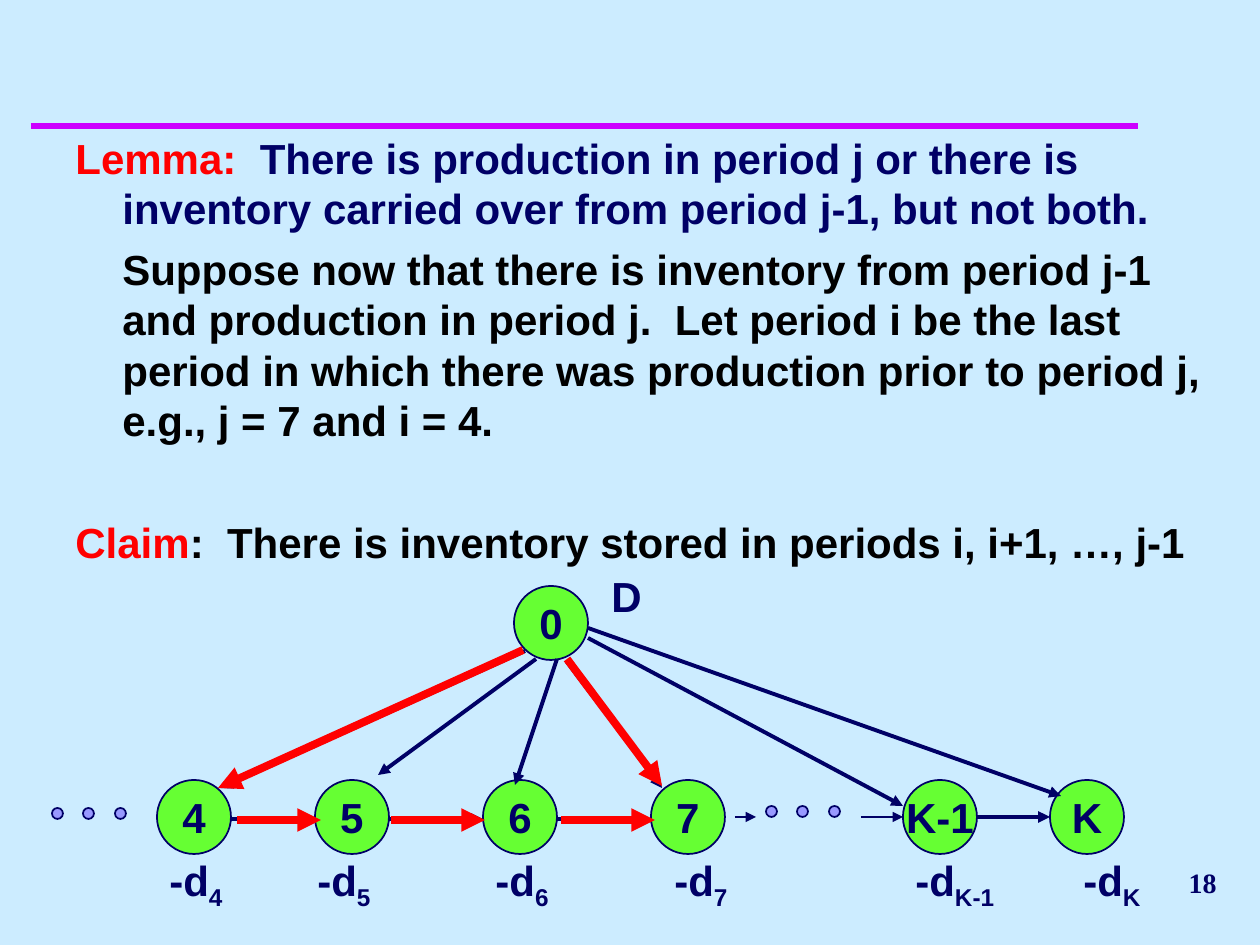
from pptx import Presentation
from pptx.dml.color import RGBColor
from pptx.enum.shapes import MSO_CONNECTOR, MSO_SHAPE
from pptx.enum.text import MSO_ANCHOR, PP_ALIGN
from pptx.oxml.ns import qn
from pptx.util import Pt
from lxml.etree import SubElement

NAVY = RGBColor(0x00, 0x00, 0x66)
RED = RGBColor(0xFF, 0x00, 0x00)
BLACK = RGBColor(0x00, 0x00, 0x00)
GREEN = RGBColor(0x66, 0xFF, 0x33)
LILAC = RGBColor(0x99, 0x99, 0xFF)
PURPLE = RGBColor(0xCC, 0x00, 0xFF)
SKY = RGBColor(0xCC, 0xEC, 0xFF)
PX = 914400 / 126
NODE, DOT = 74, 11

prs = Presentation()
prs.slide_width, prs.slide_height = round(1260 * PX), round(945 * PX)
s = prs.slides.add_slide(prs.slide_layouts[6])
s.background.fill.solid()
s.background.fill.fore_color.rgb = SKY


def add_line(ends, color, width, arrow=True):
    c = s.shapes.add_connector(MSO_CONNECTOR.STRAIGHT, *[round(v * PX) for v in ends])
    c.line.color.rgb = color
    c.line.width = Pt(width)
    if arrow:
        SubElement(c.line._get_or_add_ln(), qn("a:tailEnd"), type="triangle")
    SubElement(c._element.spPr, qn("a:effectLst"))


def add_item(x, y, w, h, parts=(), fill=None, size=24, name="Arial"):
    box = [round(v * PX) for v in (x, y, w, h)]
    if fill:
        sp = s.shapes.add_shape(MSO_SHAPE.OVAL, *box)
        sp.shadow.inherit = False
        sp.fill.solid()
        sp.fill.fore_color.rgb = fill
        sp.line.color.rgb = NAVY
        sp.line.width = Pt(1)
    else:
        sp = s.shapes.add_textbox(*box)
    tf = sp.text_frame
    tf.word_wrap = not fill
    p = tf.paragraphs[0]
    if fill:
        tf.vertical_anchor = MSO_ANCHOR.MIDDLE
        p.alignment = PP_ALIGN.CENTER
    p.font.size, p.font.name, p.font.bold = Pt(size), name, True
    p.font.color.rgb = NAVY
    for text in parts:
        p.add_run().text = text
    return tf


add_line((31, 126, 1138, 126), PURPLE, 4, arrow=False)

tf = add_item(987, 851, 242, 63, ["18"], size=16, name="Times New Roman")
tf.vertical_anchor = MSO_ANCHOR.MIDDLE
tf.paragraphs[0].alignment = PP_ALIGN.RIGHT

tf = add_item(63, 126, 1155, 451)
paragraphs = [
    (-47, 0, [("Lemma:", RED),
              ("  There is production in period j or there is inventory carried over "
               "from period j-1, but not both.", NAVY)]),
    (0, 6, [("Suppose now that there is inventory from period j-1 and production in "
             "period j.  Let period i be the last period in which there was production "
             "prior to period j, e.g., j = 7 and i = 4.", BLACK)]),
    (-47, 41, [("Claim", RED),
               (":  There is inventory stored in periods i, i+1, …, j-1", BLACK)]),
]
for i, (indent, before, runs) in enumerate(paragraphs):
    p = tf.add_paragraph() if i else tf.paragraphs[0]
    pPr = p._p.get_or_add_pPr()
    pPr.set("marL", str(round(47 * PX)))
    pPr.set("indent", str(round(indent * PX)))
    p.space_before = Pt(before)
    p.font.size, p.font.name, p.font.bold = Pt(24), "Arial", True
    for text, color in runs:
        r = p.add_run()
        r.text = text
        r.font.color.rgb = color

for ends in [(525, 651, 221, 788), (231, 819, 315, 819), (388, 819, 483, 819),
             (557, 819, 651, 819), (567, 662, 662, 788)]:
    add_line(ends, NAVY, 2.25)

add_item(514, 586, NODE, NODE, ["0"], GREEN)
add_item(599, 564, 95, 63, ["D"])
nodes = [("4", 157, 157), ("5", 315, 305), ("6", 483, 483),
         ("7", 651, 662), ("K-1", 903, 903), ("K", 1050, 1071)]
for name, x, label_x in nodes:
    add_item(x, 780, NODE, NODE, [name], GREEN)
    tf = add_item(label_x, 848, 116, 71, ["-d", name])
    tf.paragraphs[0].runs[1]._r.get_or_add_rPr().set("baseline", "-25000")

for ends, width in [((536, 659, 378, 775), 2.25), ((557, 659, 515, 785), 2.25),
                    ((588, 638, 903, 806), 2.25), ((588, 628, 1061, 796), 2.25),
                    ((735, 817, 756, 817), 1), ((861, 817, 903, 817), 1),
                    ((977, 817, 1050, 817), 2.25)]:
    add_line(ends, NAVY, width)

for x, y in [(766, 806), (52, 808)]:
    for i in range(3):
        add_item(x + i * 63 // 2, y, DOT, DOT, fill=LILAC)

for ends in [(523, 650, 218, 788), (567, 659, 662, 786), (237, 820, 321, 820),
             (391, 820, 485, 820), (561, 820, 655, 820)]:
    add_line(ends, RED, 4.5)

prs.save("out.pptx")
